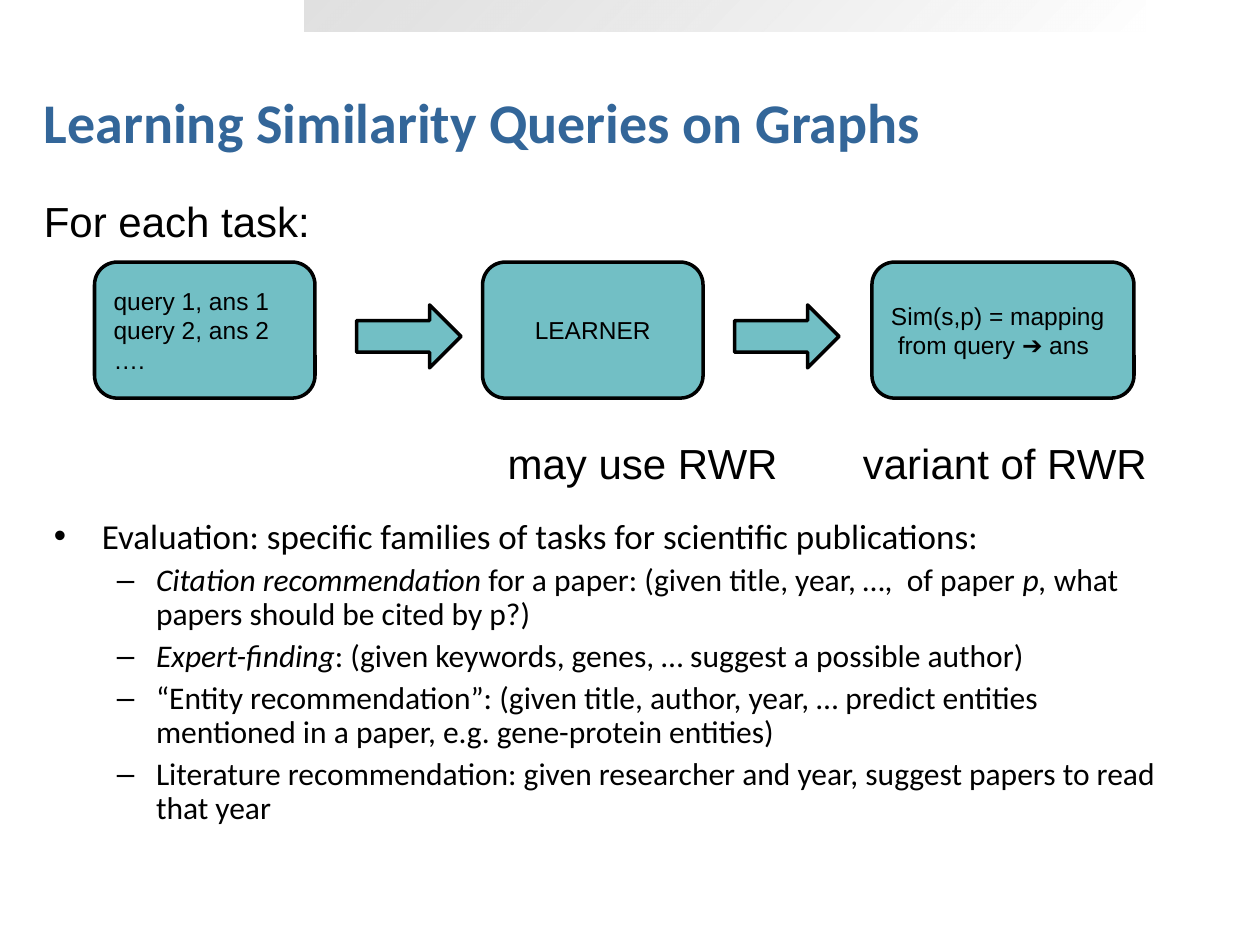
from pptx import Presentation
from pptx.dml.color import RGBColor
from pptx.enum.shapes import MSO_SHAPE as Shape
from pptx.enum.text import MSO_ANCHOR as Anchor, PP_ALIGN as Align
from pptx.oxml.ns import qn
from pptx.util import Inches, Pt
from lxml import etree

BLACK, TEAL, BLUE = "000000", "72BFC5", "336699"
TITLE = "Learning Similarity Queries on Graphs"
LABELS = [
    ("For each task:", 0.25, 1.5, 9.33, True),
    ("variant of RWR", 6.75, 3.42, 2.67, True),
    ("may use RWR", 3.93, 3.42, 2.35, False),
]
STAGES = [
    (["query 1, ans 1", "query 2, ans 2", "…."], 0.75, 1.75, Align.LEFT),
    (["LEARNER"], 3.83, 1.75, Align.CENTER),
    (["Sim(s,p) = mapping", " from query ➔ ans"], 6.92, 2.08, Align.LEFT),
]
ARROW_LEFTS = [2.83, 5.83]
EVALUATION = [
    (0, [("Evaluation: specific families of tasks for scientific publications:", False)]),
    (1, [("Citation recommendation ", True),
         ("for a paper: (given title, year, …,  of paper ", False),
         ("p, ", True),
         ("what papers should be cited by p?)", False)]),
    (1, [("Expert-finding", True),
         (": (given keywords, genes, … suggest a possible author)", False)]),
    (1, [("“Entity recommendation”: (given title, author, year, … predict entities "
          "mentioned in a paper, e.g. gene-protein entities)", False)]),
    (1, [("Literature recommendation: given researcher and year, suggest papers to "
          "read that year", False)]),
]
LEVELS = [
    {"size": 20, "before": 5, "margin": 0.38, "hang": 0.38, "bullet": "•"},
    {"size": 18, "before": 4.5, "margin": 0.81, "hang": 0.31, "bullet": "–"},
]
BAND_STOPS = [("FFFFFF", 68), ("C0C0C0", 48)]


def color(value):
    return RGBColor.from_string(value)


def add_run(paragraph, text, size, font="Arial", fill=BLACK, bold=False, italic=False):
    run = paragraph.add_run()
    run.text = text
    run.font.name, run.font.size = font, Pt(size)
    run.font.bold, run.font.italic = bold, italic
    run.font.color.rgb = color(fill)


def add_text_box(slide, left, top, width, height, wrap=True):
    box = slide.shapes.add_textbox(Inches(left), Inches(top), Inches(width), Inches(height))
    box.text_frame.word_wrap = wrap
    return box.text_frame


def add_block(slide, kind, left, top, width, height):
    shape = slide.shapes.add_shape(
        kind, Inches(left), Inches(top), Inches(width), Inches(height))
    shape.shadow.inherit = False
    shape.fill.solid()
    shape.fill.fore_color.rgb = color(TEAL)
    shape.line.color.rgb = color(BLACK)
    shape.line.width = Pt(2)
    return shape


def add_band(slide):
    band = add_block(slide, Shape.RECTANGLE, 2.42, 0, 6.67, 0.25)
    band.line.fill.background()
    band.fill.gradient()
    band.fill.gradient_angle = 135
    for stop, (value, _) in zip(band.fill.gradient_stops, BAND_STOPS):
        stop.color.rgb = color(value)
    for element, (_, opacity) in zip(band._element.xpath(".//a:gs/a:srgbClr"), BAND_STOPS):
        etree.SubElement(element, qn("a:alpha"), val=str(opacity * 1000))


def add_stage(slide, lines, left, width, align):
    stage = add_block(slide, Shape.ROUNDED_RECTANGLE, left, 2.08, width, 1.08)
    stage.adjustments[0] = 0.167
    frame = stage.text_frame
    frame.word_wrap = True
    frame.vertical_anchor = Anchor.MIDDLE
    for index, line in enumerate(lines):
        paragraph = frame.add_paragraph() if index else frame.paragraphs[0]
        paragraph.alignment = align
        add_run(paragraph, line, 14)


def add_evaluation(slide):
    frame = add_text_box(slide, 0.33, 4.07, 9.08, 3.02)
    for index, (level, runs) in enumerate(EVALUATION):
        style = LEVELS[level]
        paragraph = frame.add_paragraph() if index else frame.paragraphs[0]
        paragraph.level = level
        paragraph.line_spacing = 0.9
        paragraph.space_before = Pt(style["before"] if index else 0)
        properties = paragraph._p.get_or_add_pPr()
        properties.set("marL", str(Inches(style["margin"])))
        properties.set("indent", str(-Inches(style["hang"])))
        bullet_color = etree.SubElement(properties, qn("a:buClr"))
        etree.SubElement(bullet_color, qn("a:srgbClr"), val=BLACK)
        etree.SubElement(properties, qn("a:buFont"), typeface="Arial")
        etree.SubElement(properties, qn("a:buChar"), char=style["bullet"])
        for text, italic in runs:
            add_run(paragraph, text, style["size"], "Calibri", italic=italic)


def main():
    presentation = Presentation()
    presentation.slide_width, presentation.slide_height = Inches(10), Inches(7.5)
    slide = presentation.slides.add_slide(presentation.slide_layouts[6])
    add_band(slide)
    title = add_text_box(slide, 0.25, 0.5, 9.25, 0.92)
    title.vertical_anchor = Anchor.MIDDLE
    add_run(title.paragraphs[0], TITLE, 32, "Calibri", BLUE, bold=True)
    add_evaluation(slide)
    for stage in STAGES:
        add_stage(slide, *stage)
    for left in ARROW_LEFTS:
        add_block(slide, Shape.RIGHT_ARROW, left, 2.42, 0.83, 0.5)
    for text, left, top, width, wrap in LABELS:
        label = add_text_box(slide, left, top, width, 0.5, wrap)
        add_run(label.paragraphs[0], text, 24)
    presentation.save("out.pptx")


if __name__ == "__main__":
    main()
